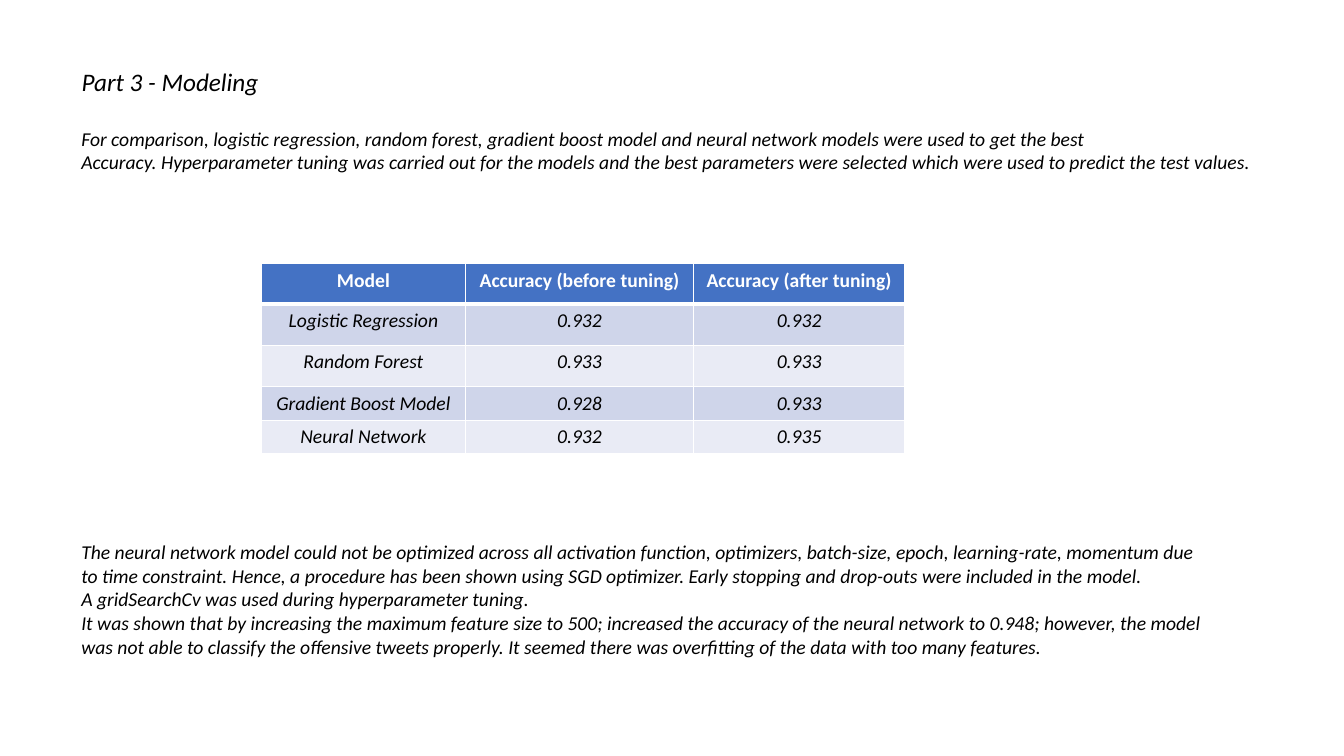
from pptx import Presentation
from pptx import util as u
from pptx.dml.color import RGBColor
from pptx.enum import text
from pptx.oxml import parse_xml
from pptx.oxml.ns import nsdecls

TITLE = "Part 3 - Modeling"
INTRO = [
    "For comparison, logistic regression, random forest, gradient boost model and neural "
    "network models were used to get the best",
    "Accuracy. Hyperparameter tuning was carried out for the models and the best parameters "
    "were selected which were used to predict the test values.",
]
RESULTS = [
    ("Model", "Accuracy (before tuning)", "Accuracy (after tuning)"),
    ("Logistic Regression", "0.932", "0.932"),
    ("Random Forest", "0.933", "0.933"),
    ("Gradient Boost Model", "0.928", "0.933"),
    ("Neural Network", "0.932", "0.935"),
]
FINDINGS = [
    "The neural network model could not be optimized across all activation function, "
    "optimizers, batch-size, epoch, learning-rate, momentum due",
    "to time constraint. Hence, a procedure has been shown using SGD optimizer. "
    "Early stopping and drop-outs were included in the model.",
    "A gridSearchCv was used during hyperparameter tuning.",
    "It was shown that by increasing the maximum feature size to 500; increased the accuracy "
    "of the neural network to 0.948; however, the model",
    "was not able to classify the offensive tweets properly. It seemed there was overfitting "
    "of the data with too many features.",
]

THEME = {
    "header": "4472C4",
    "bands": ("CFD5EA", "E9EBF5"),
    "border": "FFFFFF",
    "title": {"name": "Calibri", "size": u.Pt(18), "italic": True, "color": "000000"},
    "body": {"name": "Calibri", "size": u.Pt(14), "italic": True, "color": "000000"},
    "head": {"name": "Calibri", "size": u.Pt(14), "bold": True, "color": "FFFFFF"},
}

# Positions and sizes in centimetres
LEFT = 1.8
TITLE_BOX = (LEFT, 1.55, 5.0, 1.02)
INTRO_BOX = (LEFT, 3.07, 30.23, 2.06)
FINDINGS_BOX = (LEFT, 13.49, 28.88, 3.25)
TABLE_AT = (6.59, 6.64)
COLUMNS = (5.14, 5.75, 5.32)
ROWS = (1.02, 1.04, 1.04, 0.85, 0.85)


def format_span(span, style):
    """Apply a theme text style to one run."""
    for name, value in style.items():
        if name == "color":
            span.font.color.rgb = RGBColor.from_string(value)
        else:
            setattr(span.font, name, value)


def write(frame, lines, style, align=text.PP_ALIGN.LEFT):
    """Write one paragraph per line into a text frame."""
    for index, line in enumerate(lines):
        para = frame.add_paragraph() if index else frame.paragraphs[0]
        para.alignment = align
        span = para.add_run()
        span.text = line
        format_span(span, style)


def fill_box(box, place, lines, style):
    """Place a text shape and fill it with unwrapped lines."""
    for name, value in zip(("left", "top", "width", "height"), place):
        setattr(box, name, u.Cm(value))
    frame = box.text_frame
    layout = {
        "word_wrap": False,
        "auto_size": text.MSO_AUTO_SIZE.SHAPE_TO_FIT_TEXT,
        "vertical_anchor": text.MSO_ANCHOR.TOP,
    }
    for name, value in layout.items():
        setattr(frame, name, value)
    write(frame, lines, style)


def border_cell(cell, widths):
    """Draw the four cell borders with the given widths in points."""
    properties = cell._tc.get_or_add_tcPr()
    for index, (side, width) in enumerate(widths.items()):
        properties.insert(index, parse_xml(
            f'<a:{side} {nsdecls("a")} w="{u.Pt(width)}"><a:solidFill>'
            f'<a:srgbClr val="{THEME["border"]}"/></a:solidFill></a:{side}>'))


def add_results(slide):
    """Add the banded accuracy table."""
    size = (sum(COLUMNS), sum(ROWS))
    frame = slide.shapes.add_table(len(ROWS), len(COLUMNS), *map(u.Cm, TABLE_AT + size))
    table = frame.table
    for column, width in zip(table.columns, COLUMNS):
        column.width = u.Cm(width)
    for number, (row, height, values) in enumerate(zip(table.rows, ROWS, RESULTS)):
        row.height = u.Cm(height)
        color = THEME["bands"][(number - 1) % 2] if number else THEME["header"]
        widths = {"lnL": 1, "lnR": 1, "lnT": 3 if number == 1 else 1,
                  "lnB": 1 if number else 3}
        for cell, value in zip(row.cells, values):
            cell.fill.solid()
            cell.fill.fore_color.rgb = RGBColor.from_string(color)
            border_cell(cell, widths)
            write(cell.text_frame, [value], THEME["body" if number else "head"],
                  text.PP_ALIGN.CENTER)


def build():
    """Build the modeling slide and save the deck."""
    deck = Presentation()
    deck.slide_width, deck.slide_height = u.Cm(33.87), u.Cm(19.05)
    page = deck.slides.add_slide(deck.slide_layouts.get_by_name("Title Only"))
    fill_box(page.shapes.title, TITLE_BOX, [TITLE], THEME["title"])
    for place, lines in ((INTRO_BOX, INTRO), (FINDINGS_BOX, FINDINGS)):
        box = page.shapes.add_textbox(0, 0, 0, 0)
        fill_box(box, place, lines, THEME["body"])
    add_results(page)
    deck.save("out.pptx")


build()
